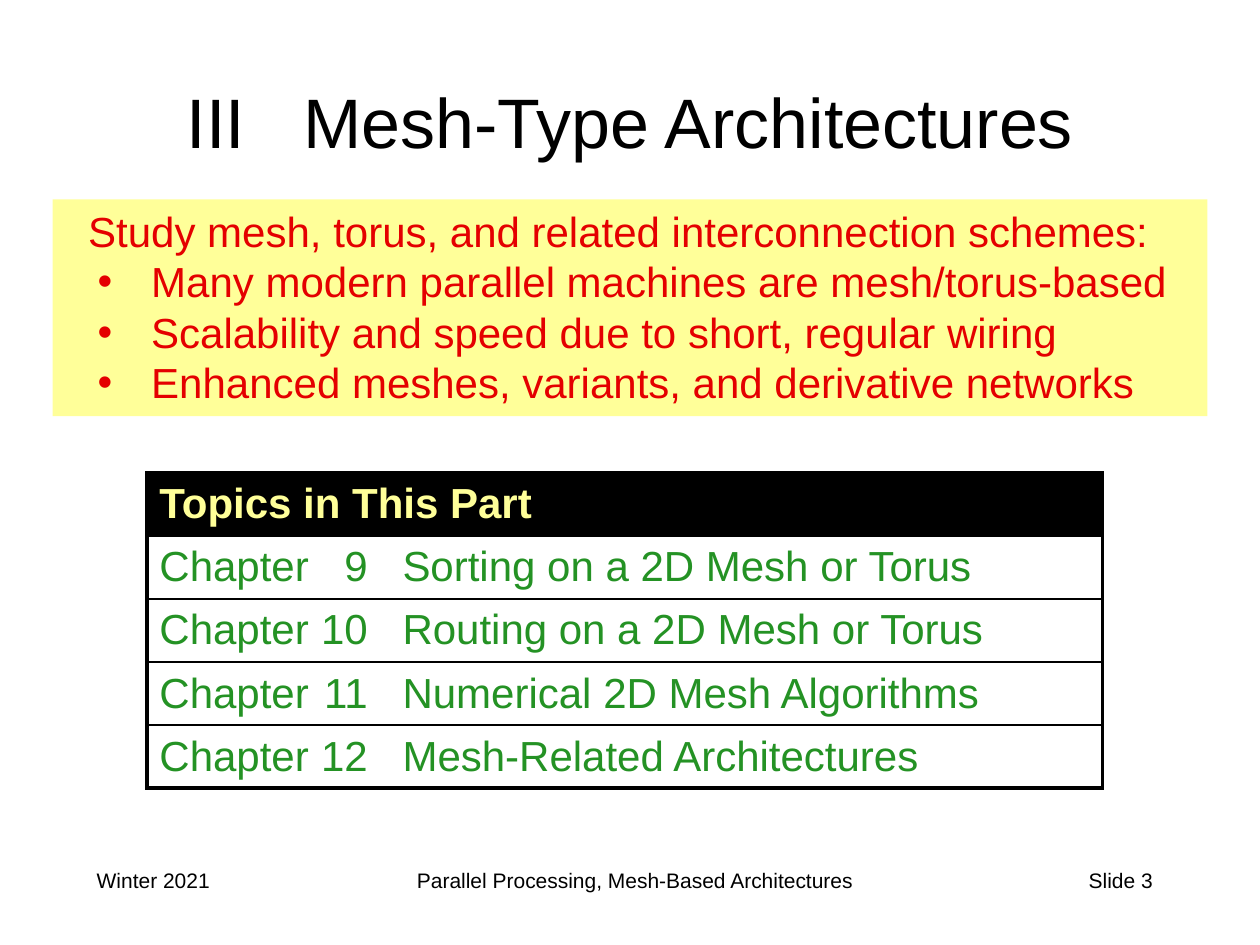
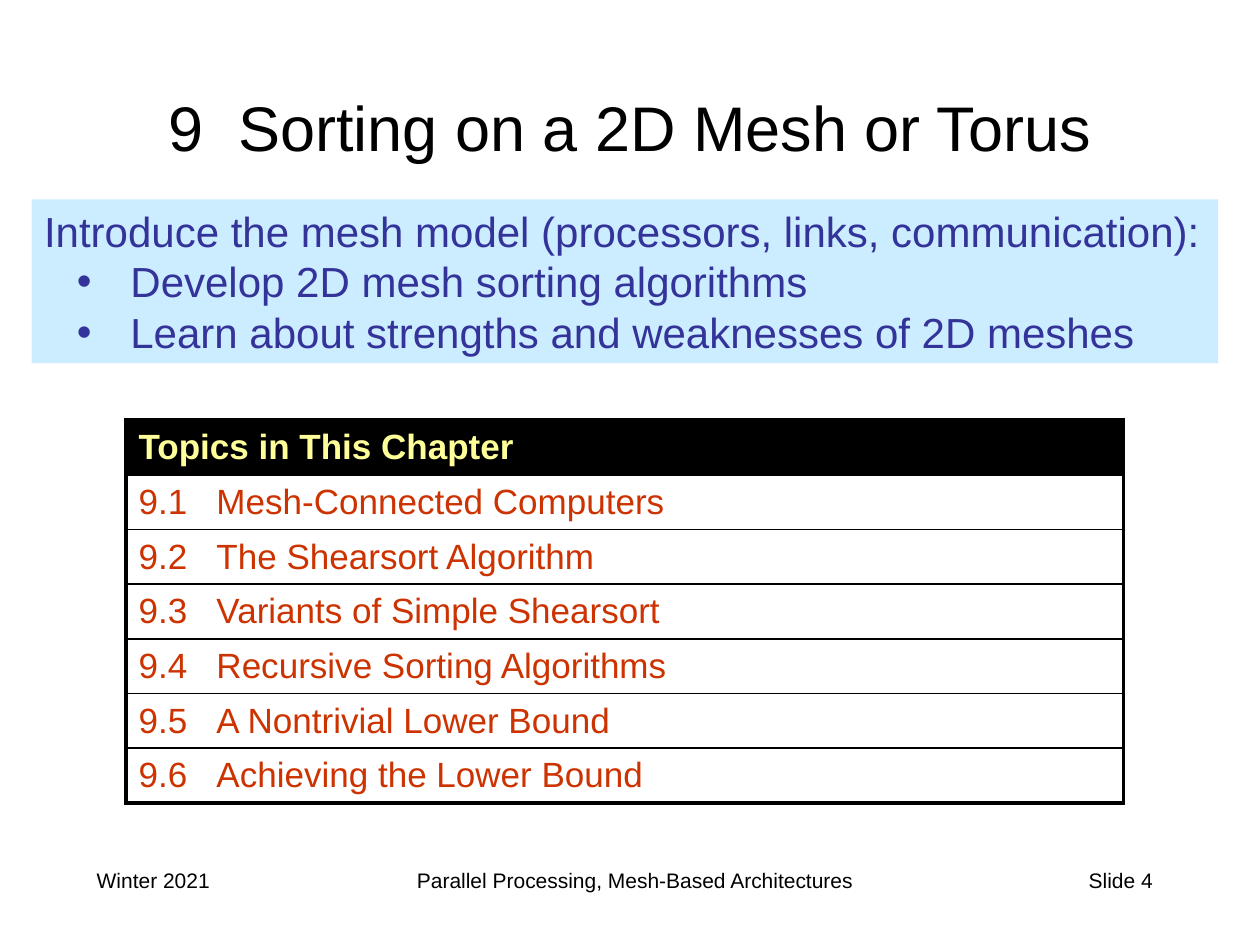
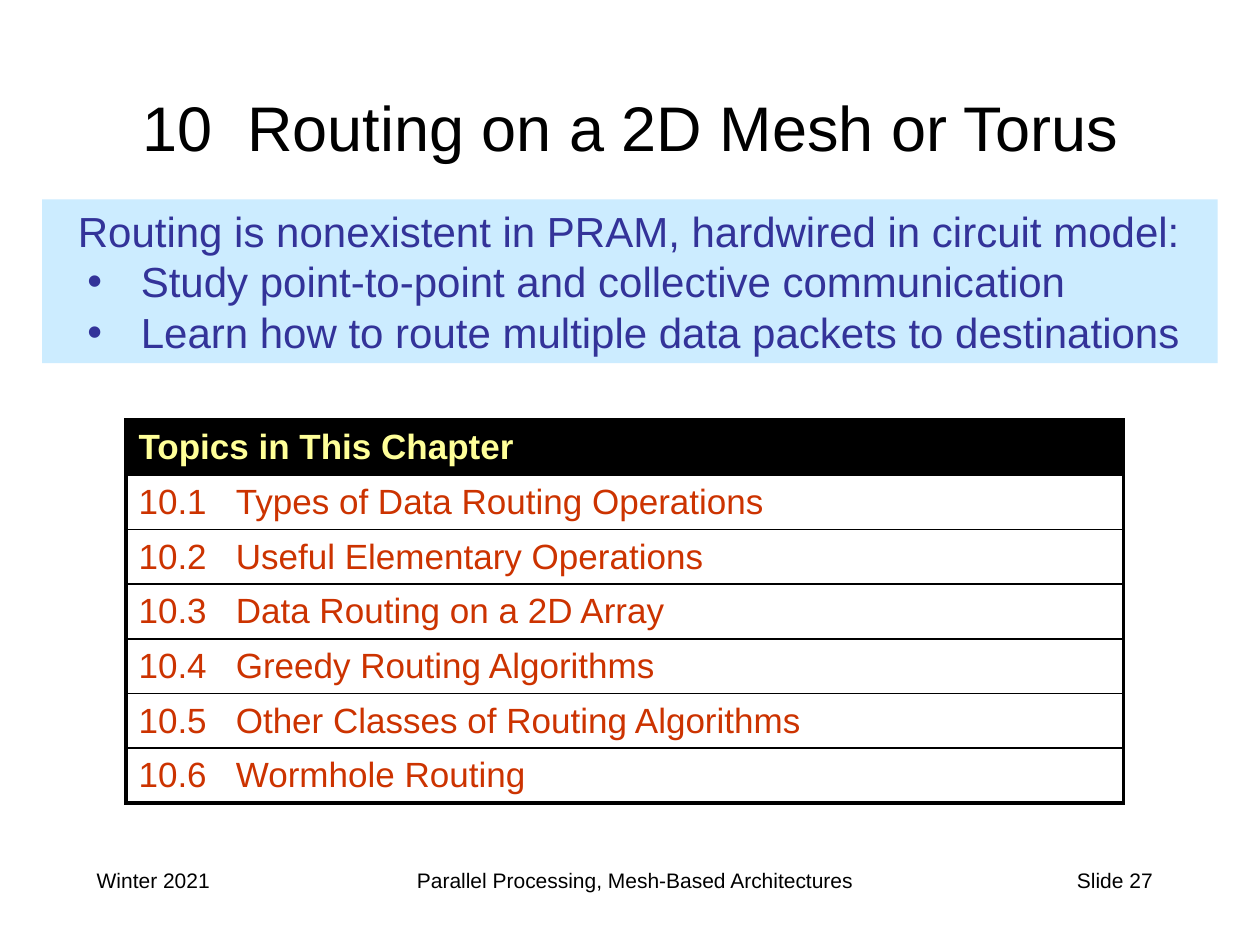
from dataclasses import dataclass

from lxml import etree
from pptx import Presentation
from pptx.dml.color import RGBColor
from pptx.enum.shapes import MSO_SHAPE
from pptx.enum.text import MSO_ANCHOR, MSO_AUTO_SIZE, PP_ALIGN
from pptx.oxml.ns import qn
from pptx.util import Cm, Pt

RECTANGLE = MSO_SHAPE.RECTANGLE
TOP, MIDDLE = MSO_ANCHOR.TOP, MSO_ANCHOR.MIDDLE
LEFT, CENTER, RIGHT = PP_ALIGN.LEFT, PP_ALIGN.CENTER, PP_ALIGN.RIGHT
NO_AUTOFIT = MSO_AUTO_SIZE.NONE
TITLE_ONLY = 5


@dataclass(frozen=True)
class Theme:
    font: str = "Arial"
    ink: str = "000000"
    header_text: str = "FFFF99"
    footer_size: float = 12
    summary_size: float = 24
    thin_line: float = 1
    thick_line: float = 2.25


@dataclass(frozen=True)
class Box:
    left: float
    top: float
    width: float
    height: float

    def lengths(self) -> tuple:
        return Cm(self.left), Cm(self.top), Cm(self.width), Cm(self.height)


@dataclass(frozen=True)
class TabStop:
    position: float
    alignment: str = "l"


@dataclass(frozen=True)
class Level:
    title_size: float
    summary_fill: str
    summary_color: str
    topic_color: str
    topic_size: float
    row_height: float
    table_left: float
    table_top: float
    table_width: float
    heading: str


@dataclass(frozen=True)
class Footer:
    box: Box
    text: str
    alignment: PP_ALIGN


@dataclass(frozen=True)
class Overview:
    number: int
    level: Level
    title: str
    title_box: Box
    summary_box: Box
    lead: str
    lead_indent: float
    points: tuple[str, ...]
    tab_stops: tuple[TabStop, ...]
    topics: tuple[tuple[str, ...], ...]


THEME = Theme()
FOOTERS = (
    Footer(Box(1.7, 17.36, 5.3, 1.27), "Winter 2021", LEFT),
    Footer(Box(6.14, 17.36, 13.33, 1.27), "Parallel Processing, Mesh-Based Architectures", CENTER),
    Footer(Box(18.2, 17.36, 5.29, 1.27), "Slide {number}", RIGHT),
)
PART = Level(40, "FFFF99", "E40000", "249224", 24, 1.27, 2.96, 9.53, 19.26, "Topics in This Part")
CHAPTER = Level(36, "CCECFF", "333399", "CC3300", 20, 1.1, 2.54, 8.47, 20.11, "Topics in This Chapter")

OVERVIEWS = (
    Overview(
        3, PART, "III   Mesh-Type Architectures",
        Box(1.9, 1.27, 21.6, 2.33), Box(1.06, 4.02, 23.28, 4.37),
        "Study mesh, torus, and related interconnection schemes:", 0.47,
        ("Many modern parallel machines are mesh/torus-based",
         "Scalability and speed due to short, regular wiring",
         "Enhanced meshes, variants, and derivative networks"),
        (TabStop(4.2, "r"), TabStop(4.9)),
        (("Chapter", "9", "Sorting on a 2D Mesh or Torus"),
         ("Chapter", "10", "Routing on a 2D Mesh or Torus"),
         ("Chapter", "11", "Numerical 2D Mesh Algorithms"),
         ("Chapter", "12", "Mesh-Related Architectures")),
    ),
    Overview(
        4, CHAPTER, "9  Sorting on a 2D Mesh or Torus",
        Box(1.27, 1.27, 22.86, 2.54), Box(0.64, 4.02, 23.92, 3.3),
        "Introduce the mesh model (processors, links, communication):", 0,
        ("Develop 2D mesh sorting algorithms",
         "Learn about strengths and weaknesses of 2D meshes"),
        (TabStop(1.57),),
        (("9.1", "Mesh-Connected Computers"),
         ("9.2", "The Shearsort Algorithm"),
         ("9.3", "Variants of Simple Shearsort"),
         ("9.4", "Recursive Sorting Algorithms"),
         ("9.5", "A Nontrivial Lower Bound"),
         ("9.6", "Achieving the Lower Bound")),
    ),
    Overview(
        27, CHAPTER, "10  Routing on a 2D Mesh or Torus",
        Box(0.64, 1.27, 24.13, 2.54), Box(0.85, 4.02, 23.7, 3.3),
        "Routing is nonexistent in PRAM, hardwired in circuit model:", 0.47,
        ("Study point-to-point and collective communication",
         "Learn how to route multiple data packets to destinations"),
        (TabStop(1.96),),
        (("10.1", "Types of Data Routing Operations"),
         ("10.2", "Useful Elementary Operations"),
         ("10.3", "Data Routing on a 2D Array"),
         ("10.4", "Greedy Routing Algorithms"),
         ("10.5", "Other Classes of Routing Algorithms"),
         ("10.6", "Wormhole Routing")),
    ),
)


def format_paragraph(paragraph, size: float, color: str, alignment: PP_ALIGN = LEFT,
                     bold: bool = False) -> None:
    paragraph.alignment = alignment
    for run in paragraph.runs:
        run.font.name = THEME.font
        run.font.size = Pt(size)
        run.font.bold = bold
        run.font.color.rgb = RGBColor.from_string(color)


def set_indent(paragraph, margin: float, hanging: float = 0) -> None:
    properties = paragraph._p.get_or_add_pPr()
    properties.set("marL", str(Cm(margin)))
    properties.set("indent", str(-Cm(hanging)))


def add_bullet(paragraph) -> None:
    properties = paragraph._p.get_or_add_pPr()
    etree.SubElement(properties, qn("a:buFont"), typeface=THEME.font)
    etree.SubElement(properties, qn("a:buChar"), char="•")


def add_tab_stops(paragraph, tab_stops: tuple[TabStop, ...]) -> None:
    tab_list = etree.SubElement(paragraph._p.get_or_add_pPr(), qn("a:tabLst"))
    for stop in tab_stops:
        etree.SubElement(tab_list, qn("a:tab"), pos=str(Cm(stop.position)), algn=stop.alignment)


def set_border(cell, side: str, width: float) -> None:
    properties = cell._tc.get_or_add_tcPr()
    line = etree.SubElement(properties, qn(f"a:ln{side}"), w=str(Pt(width)))
    fill = etree.SubElement(line, qn("a:solidFill"))
    etree.SubElement(fill, qn("a:srgbClr"), val=THEME.ink)


def add_title(slide, overview: Overview) -> None:
    title = slide.shapes.title
    title.left, title.top, title.width, title.height = overview.title_box.lengths()
    text_frame = title.text_frame
    text_frame.text = overview.title
    text_frame.auto_size = NO_AUTOFIT
    text_frame.vertical_anchor = MIDDLE
    format_paragraph(text_frame.paragraphs[0], overview.level.title_size, THEME.ink, CENTER)


def add_summary(slide, overview: Overview) -> None:
    level = overview.level
    shape = slide.shapes.add_shape(RECTANGLE, *overview.summary_box.lengths())
    shape.shadow.inherit = False
    shape.fill.solid()
    shape.fill.fore_color.rgb = RGBColor.from_string(level.summary_fill)
    shape.line.fill.background()
    text_frame = shape.text_frame
    text_frame.word_wrap = True
    text_frame.vertical_anchor = TOP
    text_frame.text = "\n".join((overview.lead, *overview.points))
    for index, paragraph in enumerate(text_frame.paragraphs):
        if index == 0:
            set_indent(paragraph, overview.lead_indent)
        else:
            set_indent(paragraph, 1.74, 1.08)
            add_bullet(paragraph)
        format_paragraph(paragraph, THEME.summary_size, level.summary_color)


def add_topics(slide, overview: Overview) -> None:
    level = overview.level
    rows = ((level.heading,), *overview.topics)
    box = Box(level.table_left, level.table_top, level.table_width, level.row_height * len(rows))
    table = slide.shapes.add_table(len(rows), 1, *box.lengths()).table
    table.first_row = False
    table.horz_banding = False
    for index, parts in enumerate(rows):
        is_header, is_last = index == 0, index == len(rows) - 1
        table.rows[index].height = Cm(level.row_height)
        cell = table.cell(index, 0)
        cell.vertical_anchor = MIDDLE
        cell.text_frame.text = "\t".join(parts)
        paragraph = cell.text_frame.paragraphs[0]
        set_border(cell, "L", THEME.thick_line)
        set_border(cell, "R", THEME.thick_line)
        set_border(cell, "T", THEME.thick_line if is_header else THEME.thin_line)
        set_border(cell, "B", THEME.thick_line if is_last else THEME.thin_line)
        if is_header:
            cell.fill.solid()
            cell.fill.fore_color.rgb = RGBColor.from_string(THEME.ink)
        else:
            cell.fill.background()
            add_tab_stops(paragraph, overview.tab_stops)
        color = THEME.header_text if is_header else level.topic_color
        format_paragraph(paragraph, level.topic_size, color, bold=is_header)


def add_footers(slide, number: int) -> None:
    for footer in FOOTERS:
        text_frame = slide.shapes.add_textbox(*footer.box.lengths()).text_frame
        text_frame.word_wrap = True
        text_frame.text = footer.text.format(number=number)
        format_paragraph(text_frame.paragraphs[0], THEME.footer_size, THEME.ink, footer.alignment)


def main() -> None:
    presentation = Presentation()
    presentation.slide_width = Cm(25.4)
    presentation.slide_height = Cm(19.05)
    for overview in OVERVIEWS:
        slide = presentation.slides.add_slide(presentation.slide_layouts[TITLE_ONLY])
        add_footers(slide, overview.number)
        add_title(slide, overview)
        add_summary(slide, overview)
        add_topics(slide, overview)
    presentation.save("out.pptx")


if __name__ == "__main__":
    main()
